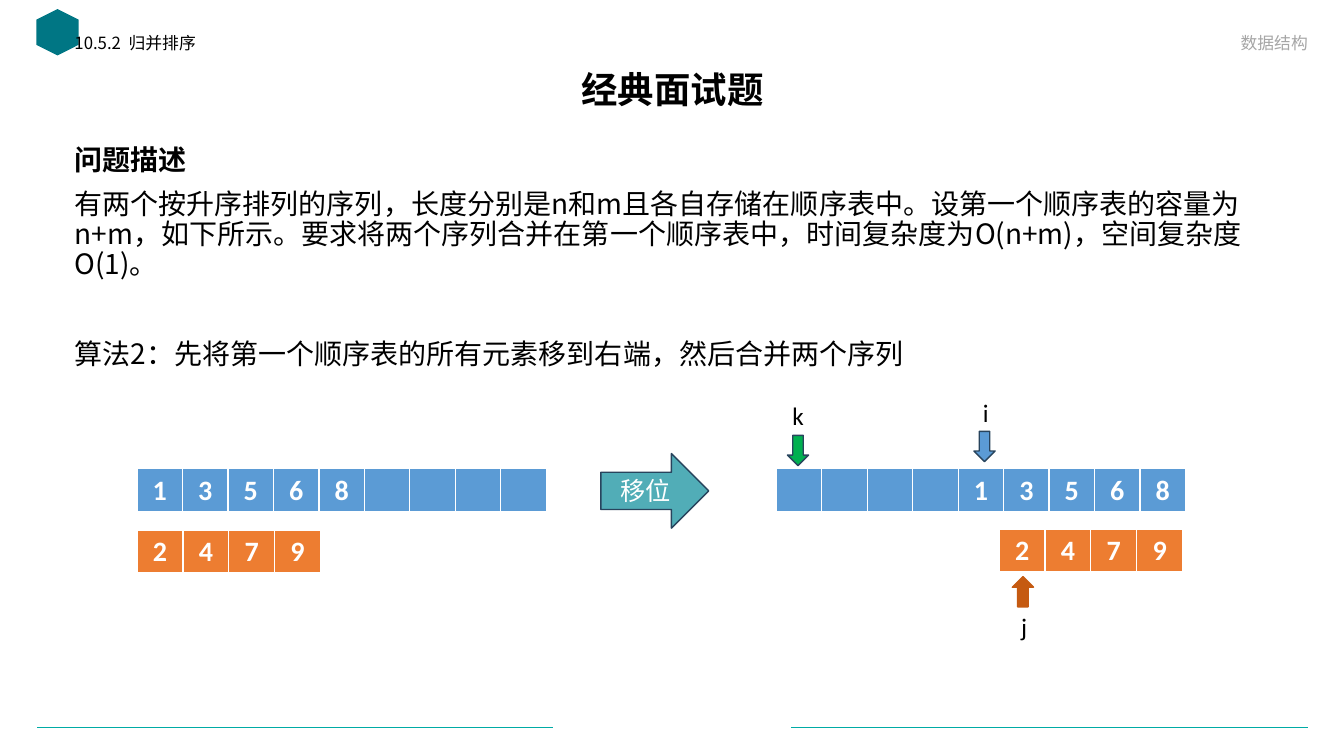
from lxml import etree
from pptx import Presentation
from pptx.dml.color import RGBColor
from pptx.enum.shapes import MSO_CONNECTOR, MSO_SHAPE
from pptx.enum.text import MSO_ANCHOR, MSO_AUTO_SIZE, PP_ALIGN
from pptx.oxml.ns import qn
from pptx.util import Inches, Pt

LEFT, CENTER, RIGHT = PP_ALIGN.LEFT, PP_ALIGN.CENTER, PP_ALIGN.RIGHT
TOP, MIDDLE, BOTTOM = MSO_ANCHOR.TOP, MSO_ANCHOR.MIDDLE, MSO_ANCHOR.BOTTOM
NO_AUTOFIT = MSO_AUTO_SIZE.NONE
DOWN_ARROW, RIGHT_ARROW = MSO_SHAPE.DOWN_ARROW, MSO_SHAPE.RIGHT_ARROW
HEXAGON = MSO_SHAPE.HEXAGON
STRAIGHT = MSO_CONNECTOR.STRAIGHT

TITLE_ONLY = 5
CJK_FONT, LATIN_FONT = "Noto Sans CJK SC", "Calibri"
BLACK, WHITE, GRAY, TEAL = "000000", "FFFFFF", "A6A6A6", "00ABA5"
BLUE, ORANGE, OUTLINE = "5B9BD5", "ED7D31", "28445D"
BORDERS = {"a:lnL": 1, "a:lnR": 1, "a:lnT": 1, "a:lnB": 3}


def color(value):
    """Turn a hex string into a colour."""
    return RGBColor.from_string(value)


def write(paragraph, text, size=20, font=CJK_FONT, fill=BLACK, bold=False,
          align=LEFT, before=0, spacing=None):
    """Write one formatted run into a paragraph."""
    paragraph.alignment = align
    paragraph.space_before = Pt(before)
    if spacing:
        paragraph.line_spacing = spacing
    run = paragraph.add_run()
    run.text = text
    run.font.size = Pt(size)
    run.font.name = font
    run.font.bold = bold
    run.font.color.rgb = color(fill)
    east_asian = etree.SubElement(run.font._element, qn("a:ea"))
    east_asian.set("typeface", CJK_FONT)


def add_text(slide, box, text, anchor=TOP, wrap=True, **text_format):
    """Add a text box and return its frame."""
    frame = slide.shapes.add_textbox(*map(Inches, box)).text_frame
    frame.word_wrap = wrap
    frame.vertical_anchor = anchor
    write(frame.paragraphs[0], text, **text_format)
    return frame


def add_shape(slide, kind, box, fill, line=None, rotation=0):
    """Add a flat preset shape."""
    shape = slide.shapes.add_shape(kind, *map(Inches, box))
    shape.shadow.inherit = False
    shape.rotation = rotation
    shape.fill.solid()
    shape.fill.fore_color.rgb = color(fill)
    if line:
        shape.line.color.rgb = color(line)
        shape.line.width = Pt(1)
    else:
        shape.line.fill.background()
    return shape


def add_rule(slide, left, right, top):
    """Add a thin horizontal footer line."""
    rule = slide.shapes.add_connector(
        STRAIGHT, Inches(left), Inches(top), Inches(right), Inches(top))
    rule.line.color.rgb = color(TEAL)
    rule.line.width = Pt(0.5)
    etree.SubElement(rule._element.spPr, qn("a:effectLst"))


def add_borders(cell):
    """Draw white borders around a cell."""
    properties = cell._tc.get_or_add_tcPr()
    for tag, width in BORDERS.items():
        line = etree.SubElement(properties, qn(tag), w=str(Pt(width)))
        solid = etree.SubElement(line, qn("a:solidFill"))
        etree.SubElement(solid, qn("a:srgbClr"), val=WHITE)


def add_sequence(slide, left, top, width, values, fill):
    """Add a one-row table with one cell per value."""
    count = len(values)
    frame = slide.shapes.add_table(
        1, count, Inches(left), Inches(top), Inches(width), Inches(0.41))
    for column, value in enumerate(values):
        frame.table.columns[column].width = Inches(width / count)
        cell = frame.table.cell(0, column)
        add_borders(cell)
        cell.fill.solid()
        cell.fill.fore_color.rgb = color(fill)
        if value:
            write(cell.text_frame.paragraphs[0], value, font=LATIN_FONT,
                  fill=WHITE, bold=True, align=CENTER)


def add_pointer(slide, label, label_box, arrow_left, arrow_top, fill,
                line=OUTLINE, rotation=0):
    """Add a small arrow with its index letter."""
    add_shape(slide, DOWN_ARROW, (arrow_left, arrow_top, 0.21, 0.3),
              fill, line, rotation)
    add_text(slide, label_box, label, wrap=False, size=18, font=LATIN_FONT)


def set_title(slide, text):
    """Place and format the title."""
    title = slide.shapes.title
    title.left, title.top = Inches(0.92), Inches(0.62)
    title.width, title.height = Inches(11.5), Inches(0.57)
    frame = title.text_frame
    frame.auto_size = NO_AUTOFIT
    frame.vertical_anchor = MIDDLE
    write(frame.paragraphs[0], text, size=26, bold=True, align=CENTER,
          spacing=0.9)


def add_problem(slide):
    """Add the problem statement and the chosen algorithm."""
    frame = add_text(slide, (0.64, 1.4, 12.09, 5.53), "问题描述", bold=True,
                     spacing=0.9)
    write(frame.add_paragraph(),
          "有两个按升序排列的序列，长度分别是n和m且各自存储在顺序表中。"
          "设第一个顺序表的容量为n+m，如下所示。要求将两个序列合并在"
          "第一个顺序表中，时间复杂度为O(n+m)，空间复杂度O(1)。",
          before=10, spacing=0.9)
    write(frame.add_paragraph(),
          "算法2：先将第一个顺序表的所有元素移到右端，然后合并两个序列",
          before=42, spacing=0.9)


def main():
    """Build the slide."""
    presentation = Presentation()
    presentation.slide_width = Inches(13.33)
    presentation.slide_height = Inches(7.5)
    slide = presentation.slides.add_slide(
        presentation.slide_layouts[TITLE_ONLY])

    add_rule(slide, 0.37, 5.48, 7.22)
    add_rule(slide, 7.85, 12.97, 7.22)
    add_shape(slide, HEXAGON, (0.34, 0.11, 0.46, 0.42), "007684", rotation=90)
    set_title(slide, "经典面试题")
    add_text(slide, (0.64, 0.3, 5.32, 0.36), "10.5.2  归并排序", size=12,
             spacing=0.9)
    add_text(slide, (7.43, 0.22, 5.64, 0.35), "数据结构", anchor=BOTTOM,
             size=12, fill=GRAY, align=RIGHT)
    add_problem(slide)

    first, second = list("13568"), list("2479")
    free = [""] * len(second)
    add_sequence(slide, 1.36, 4.65, 4.06, first + free, BLUE)
    add_sequence(slide, 1.36, 5.26, 1.82, second, ORANGE)
    shift = add_shape(slide, RIGHT_ARROW, (5.96, 4.5, 1.07, 0.74), "51ADB7",
                      OUTLINE)
    shift.text_frame.vertical_anchor = MIDDLE
    write(shift.text_frame.paragraphs[0], "移位", size=18, font=LATIN_FONT,
          fill=WHITE, align=CENTER)
    add_sequence(slide, 7.7, 4.65, 4.06, free + first, BLUE)
    add_sequence(slide, 9.91, 5.25, 1.82, second, ORANGE)

    add_pointer(slide, "i", (9.65, 3.89, 0.26, 0.4), 9.66, 4.28, BLUE)
    add_pointer(slide, "j", (10.03, 6.02, 0.26, 0.4), 10.04, 5.72, "C55A11",
                line="C55A11", rotation=180)
    add_pointer(slide, "k", (7.76, 3.92, 0.32, 0.4), 7.81, 4.32, "00B050")
    presentation.save("out.pptx")


if __name__ == "__main__":
    main()
